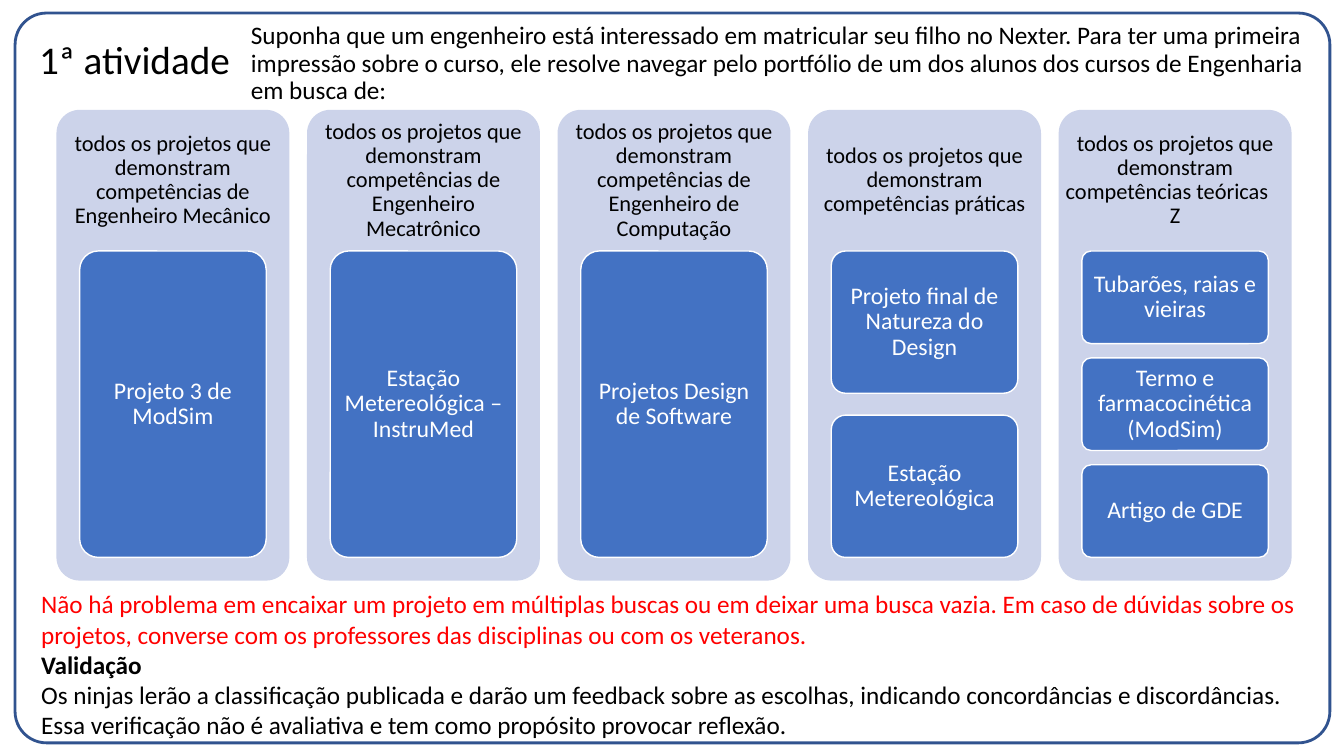
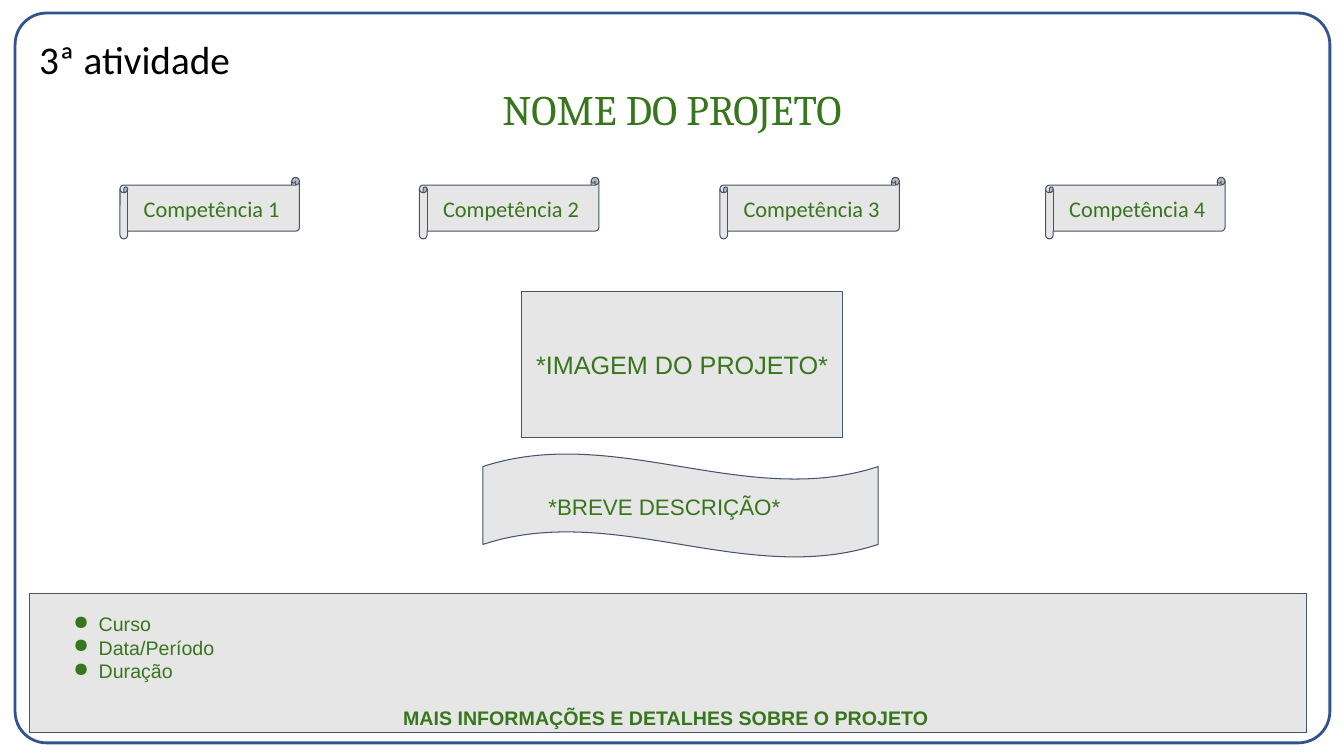
"""Build two activity slides about project portfolios."""
from lxml import etree
from pptx import Presentation
from pptx.dml.color import RGBColor
from pptx.enum.shapes import MSO_SHAPE
from pptx.enum.text import MSO_ANCHOR, PP_ALIGN
from pptx.oxml.ns import qn
from pptx.util import Emu, Pt

PX = 9144
WIDTH, HEIGHT = 1333, 750
COLORS = {
    "frame": "31538F",
    "column": "CCD3EA",
    "card": "4372C3",
    "white": "FFFFFF",
    "black": "000000",
    "alert": "FF0000",
    "panel": "E7E6E6",
    "outline": "44546A",
    "green": "38761D",
}
ROUNDED = MSO_SHAPE.ROUNDED_RECTANGLE
RECTANGLE = MSO_SHAPE.RECTANGLE
SCROLL = MSO_SHAPE.HORIZONTAL_SCROLL
WAVE = MSO_SHAPE.WAVE
PROCESS = MSO_SHAPE.FLOWCHART_PROCESS
TOP, MIDDLE = MSO_ANCHOR.TOP, MSO_ANCHOR.MIDDLE
LEFT, CENTER = PP_ALIGN.LEFT, PP_ALIGN.CENTER

COLUMNS = [
    ("todos os projetos que demonstram competências de Engenheiro Mecânico",
     ["Projeto 3 de ModSim"]),
    ("todos os projetos que demonstram competências de Engenheiro Mecatrônico",
     ["Estação Metereológica – InstruMed"]),
    ("todos os projetos que demonstram competências de Engenheiro de Computação",
     ["Projetos Design de Software"]),
    ("todos os projetos que demonstram competências práticas",
     ["Projeto final de Natureza do Design", "Estação Metereológica"]),
    ("todos os projetos que demonstram competências teóricas\tZ",
     ["Tubarões, raias e vieiras", "Termo e farmacocinética (ModSim)", "Artigo de GDE"]),
]


def px(length):
    return Emu(round(length * PX))


def write(box, text, size=18, font="Calibri", color="black", bold=False,
          align=LEFT, spacing=None, before=0, bullet=None):
    frame = box.text_frame
    para = frame.paragraphs[0]
    if para.runs:
        para = frame.add_paragraph()
    para.alignment = align
    para.space_before = Pt(before)
    if spacing:
        para.line_spacing = spacing
    if bullet:
        properties = para._p.get_or_add_pPr()
        properties.set("marL", str(px(50)))
        properties.set("indent", str(px(-25)))
        etree.SubElement(properties, qn("a:buChar")).set("char", bullet)
    span = para.add_run()
    span.text = text
    span.font.size = Pt(size)
    span.font.name = font
    span.font.bold = bold
    span.font.color.rgb = RGBColor.from_string(COLORS[color])


class Deck:
    def __init__(self):
        self.deck = Presentation()
        self.deck.slide_width = px(WIDTH)
        self.deck.slide_height = px(HEIGHT)
        self.page = None

    def add_page(self, title):
        self.page = self.deck.slides.add_slide(self.deck.slide_layouts[6])
        self.shape(ROUNDED, 15, 13, 1304, 724, line="frame", weight=2, adjust=0.043)
        heading = self.text_box(29, 0, 240, 123, anchor=MIDDLE)
        write(heading, title, size=28, spacing=0.9)

    def set_frame(self, box, anchor, insets):
        frame = box.text_frame
        frame.word_wrap = True
        frame.vertical_anchor = anchor
        across, down = insets
        frame.margin_left = frame.margin_right = px(across)
        frame.margin_top = frame.margin_bottom = px(down)

    def text_box(self, left, top, width, height, anchor=TOP, insets=(10, 5)):
        box = self.page.shapes.add_textbox(px(left), px(top), px(width), px(height))
        self.set_frame(box, anchor, insets)
        return box

    def shape(self, kind, left, top, width, height, fill=None, line=None,
              weight=1, adjust=None, insets=(10, 10)):
        shape = self.page.shapes.add_shape(kind, px(left), px(top), px(width), px(height))
        shape.shadow.inherit = False
        if adjust is not None:
            shape.adjustments[0] = adjust
        if fill:
            shape.fill.solid()
            shape.fill.fore_color.rgb = RGBColor.from_string(COLORS[fill])
        else:
            shape.fill.background()
        if line:
            shape.line.color.rgb = RGBColor.from_string(COLORS[line])
            shape.line.width = Pt(weight)
        else:
            shape.line.fill.background()
        self.set_frame(shape, MIDDLE, insets)
        return shape

    def panel(self, kind, left, top, width, height):
        return self.shape(kind, left, top, width, height, fill="panel",
                          line="outline", weight=0.75)

    def column(self, left, heading, projects):
        self.shape(ROUNDED, left, 109, 231, 467, fill="column", adjust=0.1)
        header = self.text_box(left, 109, 231, 140, anchor=MIDDLE, insets=(7, 7))
        write(header, heading, size=16, align=CENTER, spacing=0.9)
        gap_ratio = 0.154
        count = len(projects)
        height = 304 / (count + (count - 1) * gap_ratio)
        for index, project in enumerate(projects):
            top = 249 + index * height * (1 + gap_ratio)
            card = self.shape(ROUNDED, left + 23, top, 185, height, fill="card",
                              line="white", adjust=0.1, insets=(5, 4))
            write(card, project, size=17, color="white", align=CENTER, spacing=0.9)

    def save(self):
        self.deck.save("out.pptx")


def build_searches(deck):
    deck.add_page("1ª atividade")
    intro = deck.text_box(239, 18, 1078, 90)
    write(intro, "Suponha que um engenheiro está interessado em matricular seu filho "
          "no Nexter. Para ter uma primeira impressão sobre o curso, ele resolve navegar "
          "pelo portfólio de um dos alunos dos cursos de Engenharia em busca de:",
          spacing=0.9)
    for index, (heading, projects) in enumerate(COLUMNS):
        deck.column(56 + index * 248.5, heading, projects)
    notice = deck.text_box(31, 579, 1286, 162)
    write(notice, "Não há problema em encaixar um projeto em múltiplas buscas ou em "
          "deixar uma busca vazia. Em caso de dúvidas sobre os projetos, converse com "
          "os professores das disciplinas ou com os veteranos.", color="alert")
    write(notice, "Validação", bold=True)
    write(notice, "Os ninjas lerão a classificação publicada e darão um feedback sobre "
          "as escolhas, indicando concordâncias e discordâncias. Essa verificação não é "
          "avaliativa e tem como propósito provocar reflexão.")


def build_project(deck):
    deck.add_page("3ª atividade")
    name = deck.text_box(225, 73, 883, 103, insets=(10, 10))
    write(name, "NOME DO PROJETO", size=30, font="Cambria", color="green", align=CENTER)
    for number, left in enumerate((119, 416, 714, 1037), start=1):
        scroll = deck.panel(SCROLL, left, 176, 178, 61)
        write(scroll, f"Competência {number}", size=16, color="green", align=CENTER)
    image = deck.panel(RECTANGLE, 517, 289, 319, 145)
    write(image, "*IMAGEM DO PROJETO*", font="Arial", color="green", align=CENTER)
    deck.panel(WAVE, 479, 450, 392, 103)
    summary = deck.text_box(534, 479, 285, 46, insets=(10, 10))
    write(summary, "*BREVE DESCRIÇÃO*", size=16, font="Arial", color="green")
    deck.panel(PROCESS, 29, 589, 1267, 138)
    details = deck.text_box(38, 597, 1245, 125, insets=(10, 10))
    style = {"size": 14, "font": "Arial", "color": "green"}
    for item in ("Curso", "Data/Período", "Duração"):
        write(details, item, bullet="●", **style)
    write(details, "MAIS INFORMAÇÕES E DETALHES SOBRE O PROJETO", bold=True,
          align=CENTER, before=17, **style)


def main():
    deck = Deck()
    build_searches(deck)
    build_project(deck)
    deck.save()


if __name__ == "__main__":
    main()
